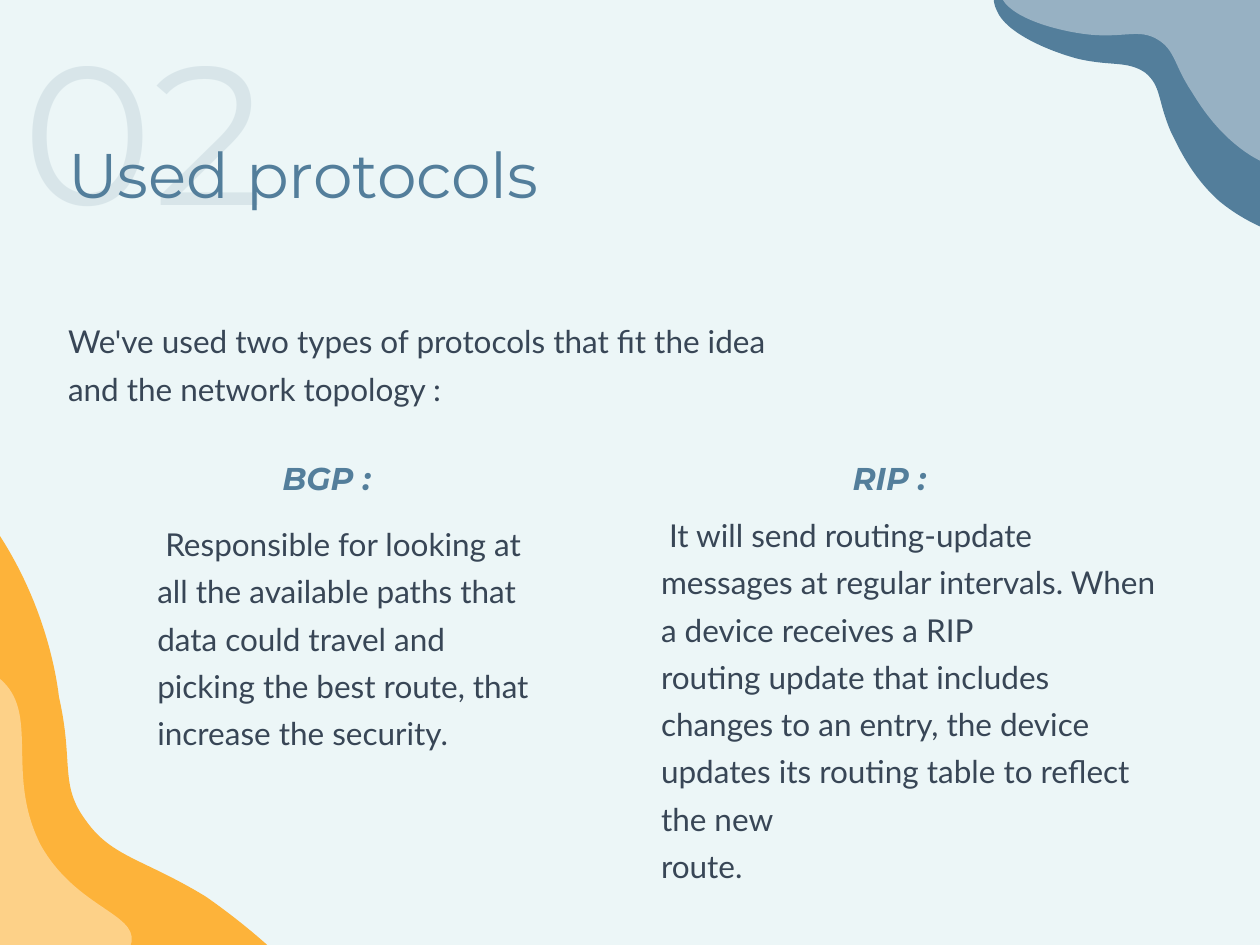
from dataclasses import dataclass

import pptx
import pptx.dml.color
import pptx.enum.shapes
import pptx.enum.text
import pptx.oxml
import pptx.oxml.ns
import pptx.util
from pptx.util import Inches


@dataclass(frozen=True)
class Theme:
    background: str = "ECF6F7"
    blue: str = "537E9B"
    orange: str = "FDB33A"
    white: str = "FFFFFF"
    number: str = "CBDBE1"
    ink: str = "384656"
    heading_font: str = "Montserrat"
    body_font: str = "Lato"
    number_size: float = 93.8
    title_size: float = 30
    text_size: float = 15
    body_leading: float = 22.5


THEME = Theme()
NO_BREAK_SPACE = chr(160)
LEFT = pptx.enum.text.PP_ALIGN.LEFT
CENTER = pptx.enum.text.PP_ALIGN.CENTER
qn = pptx.oxml.ns.qn
namespace = pptx.oxml.ns.nsdecls("a")
rgb = pptx.dml.color.RGBColor.from_string


def paint(shape, color, opacity=100):
    """Give a shape a flat fill without line or shadow."""
    shape.shadow.inherit = False
    shape.fill.solid()
    shape.fill.fore_color.rgb = rgb(color)
    shape.line.fill.background()
    if opacity < 100:
        next(shape.element.iter(qn("a:srgbClr"))).append(
            pptx.oxml.parse_xml(f'<a:alpha {namespace} val="{opacity * 1000}"/>'))


def write_text(shape, box, text, font, size, leading, color, inset_top=0.02,
               alignment=LEFT, emphasis=None):
    """Place a text shape, then fill and format its single paragraph."""
    shape.left, shape.top, shape.width, shape.height = map(Inches, box)
    frame = shape.text_frame
    frame.word_wrap = True
    frame.auto_size = pptx.enum.text.MSO_AUTO_SIZE.NONE
    frame.vertical_anchor = pptx.enum.text.MSO_ANCHOR.TOP
    frame.margin_left = frame.margin_right = frame.margin_bottom = 0
    frame.margin_top = Inches(inset_top)
    paragraph = frame.paragraphs[0]
    paragraph.text = text
    paragraph.alignment = alignment
    paragraph.line_spacing = pptx.util.Pt(leading)
    for run in paragraph.runs:
        run.font.name = font
        run.font.size = pptx.util.Pt(size)
        run.font.color.rgb = rgb(color)
        run.font.bold = run.font.italic = emphasis


presentation = pptx.Presentation()
presentation.slide_width = Inches(8.33)
presentation.slide_height = Inches(6.25)
slide = presentation.slides.add_slide(presentation.slide_layouts[5])

backdrop = slide.shapes.add_shape(
    pptx.enum.shapes.MSO_SHAPE.RECTANGLE, 0, 0,
    presentation.slide_width, presentation.slide_height)
paint(backdrop, THEME.background)

number = slide.shapes.add_textbox(0, 0, 0, 0)
write_text(number, (0.15, 0.17, 1.79, 1.29), "02", THEME.heading_font,
           THEME.number_size, THEME.number_size, THEME.number, inset_top=0.15)
next(number.element.iter(qn("a:srgbClr"))).append(
    pptx.oxml.parse_xml(f'<a:alpha {namespace} val="60000"/>'))

title = slide.shapes.title
write_text(title, (0.45, 0.93, 4.71, 0.42), "Used protocols", THEME.heading_font,
           THEME.title_size, THEME.title_size, THEME.blue, inset_top=0.05)
number.element.addnext(title.element)  # the title overlaps the large number

# Each wave: colour, opacity, start point, Bézier segments (two controls and an end)
waves = [
    (THEME.orange, 100, (1.36, 5.93), [
        (0.95, 5.68, 0.74, 5.67, 0.57, 5.43), (0.39, 5.19, 0.49, 5.05, 0.39, 4.61),
        (0.37, 4.44, 0.29, 3.99, -0.01, 3.53), (-0.36, 3.01, -0.94, 2.57, -1.5, 2.39),
        (-1.94, 2.24, -2.27, 2.27, -2.43, 2.3), (-3.28, 2.41, -4.04, 3.16, -3.94, 4.23),
        (-3.81, 5.77, -1.9, 7.36, -0.39, 7.78), (1.08, 8.17, 2.41, 7.53, 2.27, 6.92),
        (2.21, 6.61, 1.72, 6.18, 1.36, 5.93)]),
    (THEME.white, 40, (0.87, 6.23), [
        (0.84, 6.39, 0.52, 6.48, 0.27, 6.47), (-0.14, 6.44, -0.5, 6.12, -0.68, 5.73),
        (-0.85, 5.33, -0.91, 4.67, -0.58, 4.46), (-0.42, 4.35, -0.16, 4.34, 0, 4.49),
        (0.27, 4.72, 0.03, 5.12, 0.27, 5.59), (0.5, 6, 0.9, 6.04, 0.87, 6.23)]),
    (THEME.blue, 100, (7.13, 0.39), [
        (7.35, 0.44, 7.45, 0.4, 7.57, 0.48), (7.68, 0.57, 7.65, 0.66, 7.74, 0.87),
        (7.78, 0.95, 7.87, 1.16, 8.06, 1.33), (8.29, 1.52, 8.61, 1.63, 8.9, 1.61),
        (9.12, 1.6, 9.27, 1.51, 9.34, 1.46), (9.73, 1.23, 10, 0.7, 9.82, 0.18),
        (9.58, -0.57, 8.49, -0.99, 7.73, -0.9), (7, -0.8, 6.45, -0.21, 6.59, 0.07),
        (6.65, 0.22, 6.94, 0.34, 7.13, 0.39)]),
    (THEME.white, 40, (7.21, 0.23), [
        (7.44, 0.25, 7.53, 0.19, 7.65, 0.26), (7.77, 0.33, 7.76, 0.43, 7.88, 0.61),
        (7.93, 0.69, 8.05, 0.89, 8.27, 1.03), (8.52, 1.18, 8.86, 1.24, 9.13, 1.18),
        (9.36, 1.13, 9.49, 1.02, 9.55, 0.97), (9.9, 0.68, 10.09, 0.12, 9.84, -0.37),
        (9.48, -1.08, 8.35, -1.34, 7.61, -1.13), (6.9, -0.93, 6.44, -0.25, 6.63, 0),
        (6.71, 0.13, 7.01, 0.21, 7.21, 0.23)]),
]
for color, opacity, (start_x, start_y), segments in waves:
    builder = slide.shapes.build_freeform(Inches(start_x), Inches(start_y))
    builder.add_line_segments(
        [(Inches(segment[i]), Inches(segment[i + 1]))
         for segment in segments for i in (0, 2, 4)], close=True)
    wave = builder.convert_to_shape()
    paint(wave, color, opacity)
    # Every three straight lines become one Bézier curve
    lines = list(wave.element.iter(qn("a:lnTo")))
    for triple in zip(lines[::3], lines[1::3], lines[2::3]):
        curve = pptx.oxml.parse_xml(f"<a:cubicBezTo {namespace}/>")
        triple[0].addprevious(curve)
        for line in triple:
            curve.append(line[0])
            line.getparent().remove(line)

for left, protocol in ((1.25, "BGP"), (4.97, "RIP")):
    write_text(slide.shapes.add_textbox(0, 0, 0, 0), (left, 3.06, 1.82, 0.21),
               f"{protocol}{NO_BREAK_SPACE}:", THEME.heading_font, THEME.text_size,
               THEME.text_size, THEME.blue, alignment=CENTER, emphasis=True)

body_texts = [
    ((0.45, 2.05, 4.72, 0.62),
     "We've used two types of protocols that fit the idea and the network topology :"),
    ((1.04, 3.39, 2.57, 1.56),
     f" Responsible for looking at all the{NO_BREAK_SPACE}available paths that data "
     "could travel and picking the best route, that increase the security."),
    ((4.37, 3.33, 3.35, 1.88),
     " It will send routing-update messages at regular intervals. When a device "
     f"receives a RIP routing{NO_BREAK_SPACE}update that includes changes to an entry, "
     "the device updates its routing table to reflect the new\vroute."),
]
for box, text in body_texts:
    write_text(slide.shapes.add_textbox(0, 0, 0, 0), box, text, THEME.body_font,
               THEME.text_size, THEME.body_leading, THEME.ink)

presentation.save("out.pptx")
